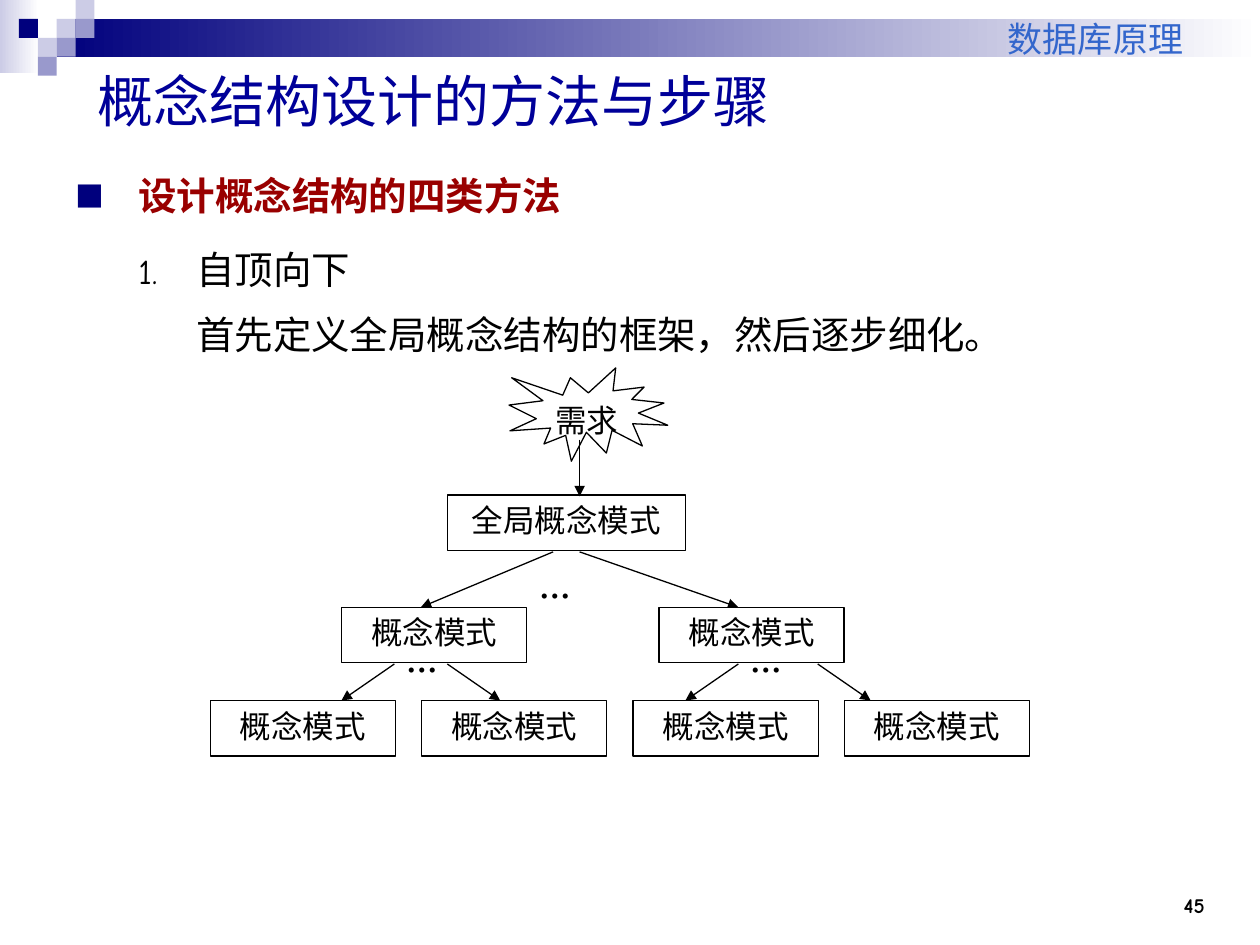
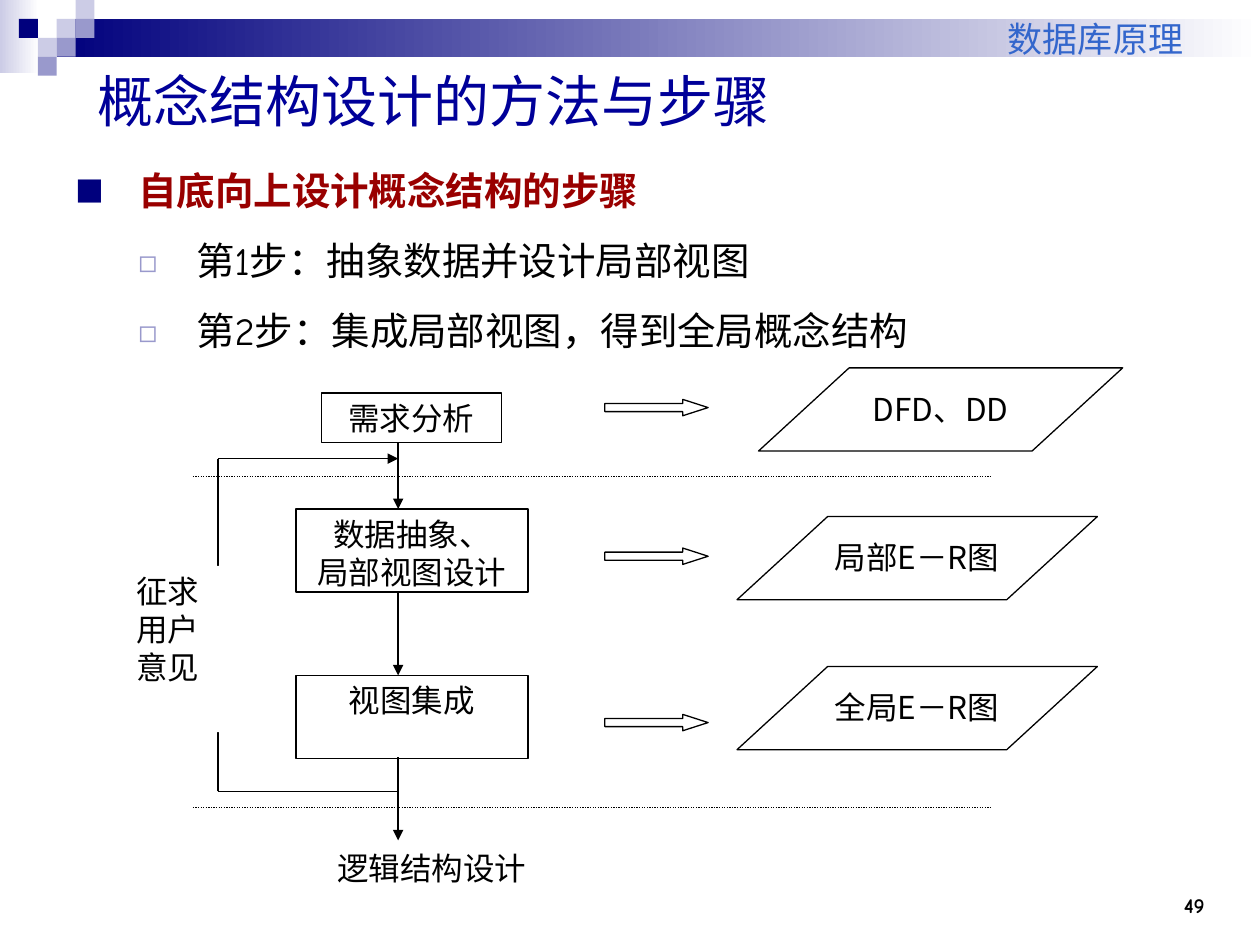
from dataclasses import dataclass
from typing import NamedTuple

from lxml.etree import SubElement
from pptx import Presentation
from pptx.dml.color import RGBColor
from pptx.enum.dml import MSO_LINE
from pptx.enum.shapes import MSO_CONNECTOR, MSO_SHAPE
from pptx.enum.text import MSO_ANCHOR, MSO_AUTO_SIZE, PP_ALIGN
from pptx.oxml.ns import qn
from pptx.util import Inches, Pt


# Theme: colours, type sizes and fonts
@dataclass(frozen=True)
class Theme:
    navy: str = "00007D"
    mid: str = "9999CC"
    pale: str = "CCCCE6"
    white: str = "FFFFFF"
    ink: str = "000000"
    title: str = "000099"
    course: str = "3366CC"
    lead: str = "990000"
    main: str = "Comic Neue"
    sans: str = "Noto Sans CJK SC"
    serif: str = "Times New Roman"
    big: int = 32
    body: int = 22
    head: int = 20
    label: int = 18
    small: int = 12
    rule: float = 0.75


T = Theme()


class Area(NamedTuple):
    left: float
    top: float
    width: float
    height: float


@dataclass(frozen=True)
class Style:
    size: int
    color: str = T.ink
    font: str = T.main
    bold: bool = False
    align: PP_ALIGN = PP_ALIGN.LEFT


@dataclass(frozen=True)
class Node:
    area: Area
    text: str = ""
    font: str = T.sans
    kind: MSO_SHAPE = MSO_SHAPE.RECTANGLE
    align: PP_ALIGN = PP_ALIGN.CENTER
    edge: bool = True
    bold: bool = False
    adjust: tuple[float, ...] = ()


@dataclass(frozen=True)
class Link:
    x1: float
    y1: float
    x2: float
    y2: float
    arrow: bool = True
    dots: bool = False


@dataclass(frozen=True)
class Item:
    lines: tuple[str, ...]
    mark: str
    tint: str
    scale: int
    lead: bool = False


# Text helpers
def add_run(para, text: str, style: Style) -> None:
    run = para.add_run()
    run.text = text
    font = run.font
    font.name, font.size, font.bold = style.font, Pt(style.size), style.bold
    font.color.rgb = RGBColor.from_string(style.color)
    east = SubElement(run._r.get_or_add_rPr(), qn("a:ea"))
    east.set("typeface", T.main)


def fill_text(frame, lines: list[str], style: Style,
              anchor: MSO_ANCHOR = MSO_ANCHOR.TOP) -> None:
    frame.word_wrap = True
    frame.auto_size = MSO_AUTO_SIZE.NONE
    frame.vertical_anchor = anchor
    for i, line in enumerate(lines):
        para = frame.add_paragraph() if i else frame.paragraphs[0]
        para.alignment = style.align
        add_run(para, line, style)


def add_text(slide, area: Area, text: str, style: Style) -> None:
    box = slide.shapes.add_textbox(*map(Inches, area))
    fill_text(box.text_frame, [text], style, MSO_ANCHOR.BOTTOM)


def add_mark(para, item: Item) -> None:
    props = para._p.get_or_add_pPr()
    indent = 0.5 if item.lead else 0.46
    props.set("marL", str(Inches(0.5 if item.lead else 0.96)))
    props.set("indent", str(Inches(-indent)))
    tint = SubElement(SubElement(props, qn("a:buClr")), qn("a:srgbClr"))
    tint.set("val", item.tint)
    SubElement(props, qn("a:buSzPct")).set("val", str(item.scale * 1000))
    SubElement(props, qn("a:buFont")).set("typeface", T.sans)
    if item.mark == "1.":
        SubElement(props, qn("a:buAutoNum")).set("type", "arabicPeriod")
    else:
        SubElement(props, qn("a:buChar")).set("char", item.mark)


def add_list(slide, items: list[Item], spacing: float) -> None:
    area = Area(0.5, 1.17, 9.17, 1.75)
    frame = slide.shapes.add_textbox(*map(Inches, area)).text_frame
    frame.word_wrap = True
    for i, item in enumerate(items):
        para = frame.add_paragraph() if i else frame.paragraphs[0]
        para.line_spacing = spacing
        para.space_before = Pt(5.5 if i else 0)
        add_mark(para, item)
        style = Style(T.body, T.lead if item.lead else T.ink, bold=item.lead)
        for j, line in enumerate(item.lines):
            if j:
                para.add_line_break()
            add_run(para, line, style)


# Shape helpers
def add_block(slide, area: Area, color: str, fade: bool = False) -> None:
    block = slide.shapes.add_shape(MSO_SHAPE.RECTANGLE, *map(Inches, area))
    block.shadow.inherit = False
    block.line.fill.background()
    if fade:
        block.fill.gradient()
        block.fill.gradient_angle = 0
        for stop, tint in zip(block.fill.gradient_stops, (color, T.white)):
            stop.color.rgb = RGBColor.from_string(tint)
    else:
        block.fill.solid()
        block.fill.fore_color.rgb = RGBColor.from_string(color)


def add_node(slide, node: Node) -> None:
    shape = slide.shapes.add_shape(node.kind, *map(Inches, node.area))
    shape.shadow.inherit = False
    for i, value in enumerate(node.adjust):
        shape.adjustments[i] = value
    shape.fill.solid()
    shape.fill.fore_color.rgb = RGBColor.from_string(T.white)
    if node.edge:
        shape.line.color.rgb = RGBColor.from_string(T.ink)
        shape.line.width = Pt(T.rule)
    else:
        shape.line.fill.background()
    if node.text:
        style = Style(T.label, font=node.font, bold=node.bold, align=node.align)
        fill_text(shape.text_frame, node.text.split("\n"), style)


def add_link(slide, link: Link) -> None:
    ends = map(Inches, (link.x1, link.y1, link.x2, link.y2))
    line = slide.shapes.add_connector(MSO_CONNECTOR.STRAIGHT, *ends)
    line.line.color.rgb = RGBColor.from_string(T.ink)
    line.line.width = Pt(T.rule)
    if link.dots:
        line.line.dash_style = MSO_LINE.ROUND_DOT
    if link.arrow:
        SubElement(line.line._get_or_add_ln(), qn("a:tailEnd")).set("type", "triangle")
    SubElement(line._element.spPr, qn("a:effectLst"))


# Shared frame: band, squares, course name, title and page number
def add_base(deck, page: int):
    slide = deck.slides.add_slide(deck.slide_layouts[5])
    add_block(slide, Area(0, 0, 0.31, 0.58), T.pale, fade=True)
    add_block(slide, Area(0.45, 0.15, 9.55, 0.3), T.navy, fade=True)
    unit = 0.15
    squares = [(3, 1, T.pale), (4, 0, T.pale), (4, 1, T.mid), (2, 2, T.pale),
               (1, 1, T.navy), (3, 2, T.mid), (2, 3, T.mid)]
    for col, row, color in squares:
        add_block(slide, Area(col * unit, row * unit, unit, unit), color)
    add_text(slide, Area(3.83, 0, 5.66, 0.52), "数据库原理",
             Style(T.head, T.course, align=PP_ALIGN.RIGHT))
    add_text(slide, Area(8.83, 6.83, 0.83, 0.5), str(page),
             Style(T.small, bold=True, align=PP_ALIGN.RIGHT))
    title = slide.shapes.title
    title.left, title.top, title.width, title.height = map(
        Inches, (0.67, 0.42, 9, 0.75))
    fill_text(title.text_frame, ["概念结构设计的方法与步骤"],
              Style(T.big, T.title), MSO_ANCHOR.MIDDLE)
    return slide


def lead_item(text: str) -> Item:
    return Item((text,), "■", T.navy, 75, lead=True)


# Slide 45: top-down method
def add_tree(deck) -> None:
    slide = add_base(deck, 45)
    add_list(slide, [
        lead_item("设计概念结构的四类方法"),
        Item(("自顶向下", "首先定义全局概念结构的框架，然后逐步细化。"),
             "1.", T.ink, 90),
    ], 1.4)
    high, wide = 0.44, 1.47
    for left, top in ((3.13, 5.12), (4.18, 4.53), (5.86, 5.12)):
        add_node(slide, Node(Area(left, top, 0.63, high), "…", edge=False,
                             bold=True, align=PP_ALIGN.LEFT))
    for x1, x2 in ((4.39, 3.34), (4.6, 5.86)):
        add_link(slide, Link(x1, 4.38, x2, 4.82))
    for x1, x2 in ((3.13, 2.71), (3.55, 3.97), (5.86, 5.44), (6.49, 6.91)):
        add_link(slide, Link(x1, 5.27, x2, 5.56))
    add_node(slide, Node(Area(3.55, 3.93, 1.89, high), "全局概念模式", T.serif))
    spots = [(2.71, 4.82), (5.23, 4.82)]
    spots += [(1.67 + 1.677 * i, 5.56) for i in range(4)]
    for left, top in spots:
        add_node(slide, Node(Area(left, top, wide, high), "概念模式", T.serif))
    add_node(slide, Node(Area(4.04, 2.92, 1.26, 0.74), "需求", T.serif,
                         MSO_SHAPE.EXPLOSION1, PP_ALIGN.LEFT))
    add_link(slide, Link(4.6, 3.49, 4.6, 3.94))


# Slide 49: bottom-up steps
def add_flow(deck) -> None:
    slide = add_base(deck, 49)
    steps = ("第1步：抽象数据并设计局部视图", "第2步：集成局部视图，得到全局概念结构")
    add_list(slide, [lead_item("自底向上设计概念结构的步骤")]
             + [Item((step,), "◻", T.mid, 80) for step in steps], 1.3)
    high, axis, loop = 0.66, 3.16, 1.73
    add_node(slide, Node(Area(2.55, 3.12, 1.43, 0.39), "需求分析"))
    add_node(slide, Node(Area(2.35, 4.04, 1.84, high), "数据抽象、\n局部视图设计"))
    add_node(slide, Node(Area(2.35, 5.36, 1.84, high), "视图集成"))
    for y1, y2 in ((3.51, 4.04), (4.7, 5.36), (6.01, 6.67)):
        add_link(slide, Link(axis, y1, axis, y2))
    add_link(slide, Link(loop, 6.28, axis, 6.28, arrow=False))
    add_link(slide, Link(loop, 6.28, loop, 3.64, arrow=False))
    add_link(slide, Link(loop, 3.64, axis, 3.64))
    for y in (3.78, 6.41):
        add_link(slide, Link(1.53, y, 7.86, y, arrow=False, dots=True))
    add_node(slide, Node(Area(0.92, 4.49, 0.82, 1.32), "征求用户意见", edge=False))
    for top in (3.17, 4.35, 5.67):
        add_node(slide, Node(Area(4.8, top, 0.82, 0.13), adjust=(0.5, 1.55),
                             kind=MSO_SHAPE.RIGHT_ARROW))
    results = [(Area(6.02, 2.92, 2.89, high), "DFD、DD"),
               (Area(5.85, 4.1, 2.86, high), "局部E－R图"),
               (Area(5.85, 5.29, 2.86, high), "全局E－R图")]
    for area, text in results:
        add_node(slide, Node(area, text, kind=MSO_SHAPE.PARALLELOGRAM,
                             adjust=(1.09,)))
    add_node(slide, Node(Area(2.58, 6.69, 3.47, 0.53), "逻辑结构设计",
                         align=PP_ALIGN.LEFT, edge=False))


def main() -> None:
    deck = Presentation()
    deck.slide_width, deck.slide_height = Inches(10), Inches(7.5)
    add_tree(deck)
    add_flow(deck)
    deck.save("out.pptx")


if __name__ == "__main__":
    main()
